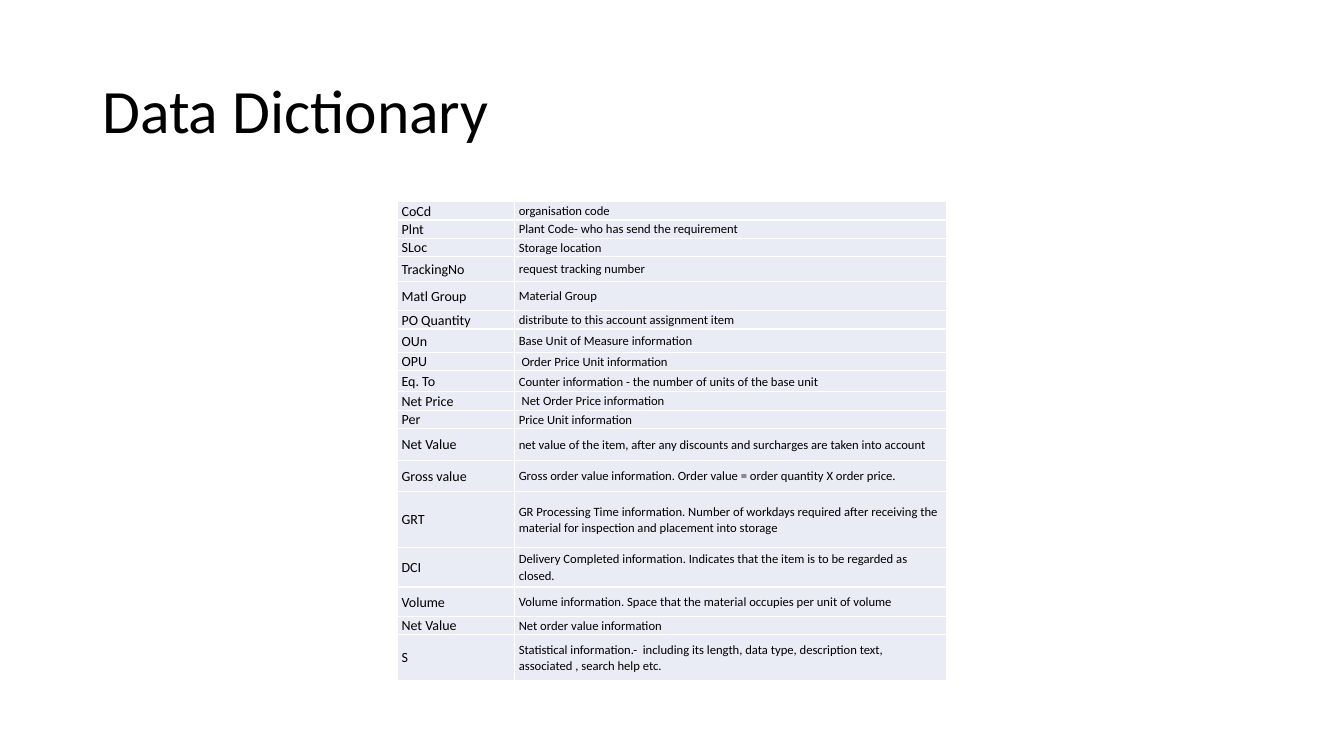
import pptx
import pptx.util
import pptx.dml.color
import pptx.enum.text
import pptx.oxml
import pptx.oxml.ns

Pt = pptx.util.Pt
MIDDLE = pptx.enum.text.MSO_ANCHOR.MIDDLE
COLORS = {"text": "000000", "row": "E9EBF5", "border": "FFFFFF"}

# Field, meaning, row height
FIELDS = [
    ("CoCd", "organisation code", 13.1),
    ("Plnt", "Plant Code- who has send the requirement", 13.1),
    ("SLoc", "Storage location", 13.1),
    ("TrackingNo", "request tracking number", 17.7),
    ("Matl Group", "Material Group", 21),
    ("PO Quantity", "distribute to this account assignment item", 13.1),
    ("OUn", "Base Unit of Measure information", 16.7),
    ("OPU", " Order Price Unit information", 13.1),
    ("Eq. To", "Counter information - the number of units of the base unit", 15.1),
    ("Net Price", " Net Order Price information", 13.1),
    ("Per", "Price Unit information", 13.1),
    ("Net Value", "net value of the item, after any discounts and surcharges "
     "are taken into account", 22.6),
    ("Gross value", "Gross order value information. Order value = order quantity "
     "X order price.", 22.6),
    ("GRT", "GR Processing Time information. Number of workdays required after "
     "receiving the material for inspection and placement into storage", 39.6),
    ("DCI", "Delivery Completed information. Indicates that the item is to be "
     "regarded as closed.", 28.4),
    ("Volume", "Volume information. Space that the material occupies per unit of "
     "volume", 21),
    ("Net Value", "Net order value information", 13.1),
    ("S", "Statistical information.-  including its length, data type, "
     "description text, associated , search help etc.", 32.7),
]
COLUMNS = [(83.7, 10), (308.7, 9)]  # width, text size
CELL_FORMAT = {
    "margin_left": Pt(2.9),
    "margin_right": Pt(2.9),
    "margin_top": 0,
    "margin_bottom": 0,
    "vertical_anchor": MIDDLE,
}


def write(frame, text, size, spacing):
    paragraph = frame.paragraphs[0]
    paragraph.line_spacing = spacing
    run = paragraph.add_run()
    run.text = text
    run.font.name = "Calibri"
    run.font.size = Pt(size)
    run.font.color.rgb = pptx.dml.color.RGBColor.from_string(COLORS["text"])


def add_borders(cell):
    properties = cell._tc.get_or_add_tcPr()
    for side in ("lnL", "lnR", "lnT", "lnB"):
        properties.append(pptx.oxml.parse_xml(
            f'<a:{side} {pptx.oxml.ns.nsdecls("a")} w="{Pt(1)}"><a:solidFill>'
            f'<a:srgbClr val="{COLORS["border"]}"/></a:solidFill></a:{side}>'))


presentation = pptx.Presentation()
presentation.slide_width = Pt(960)
presentation.slide_height = Pt(540)
slide = presentation.slides.add_slide(presentation.slide_layouts[6])

# Title
title = slide.shapes.add_textbox(Pt(66), Pt(28.75), Pt(828), Pt(104.4)).text_frame
title.word_wrap = True
title.vertical_anchor = MIDDLE
write(title, "Data Dictionary", 44, 0.9)

# Dictionary table
dictionary = slide.shapes.add_table(
    len(FIELDS), len(COLUMNS), Pt(284), Pt(144),
    Pt(sum(width for width, size in COLUMNS)),
    Pt(sum(height for field, meaning, height in FIELDS))).table
dictionary.first_row = False
dictionary.horz_banding = False

for column, (width, size) in enumerate(COLUMNS):
    dictionary.columns[column].width = Pt(width)

for row, (field, meaning, height) in enumerate(FIELDS):
    dictionary.rows[row].height = Pt(height)
    for column, text in enumerate((field, meaning)):
        cell = dictionary.cell(row, column)
        for name, value in CELL_FORMAT.items():
            setattr(cell, name, value)
        add_borders(cell)
        cell.fill.solid()
        cell.fill.fore_color.rgb = pptx.dml.color.RGBColor.from_string(COLORS["row"])
        write(cell.text_frame, text, COLUMNS[column][1], 1.07)

presentation.save("out.pptx")
